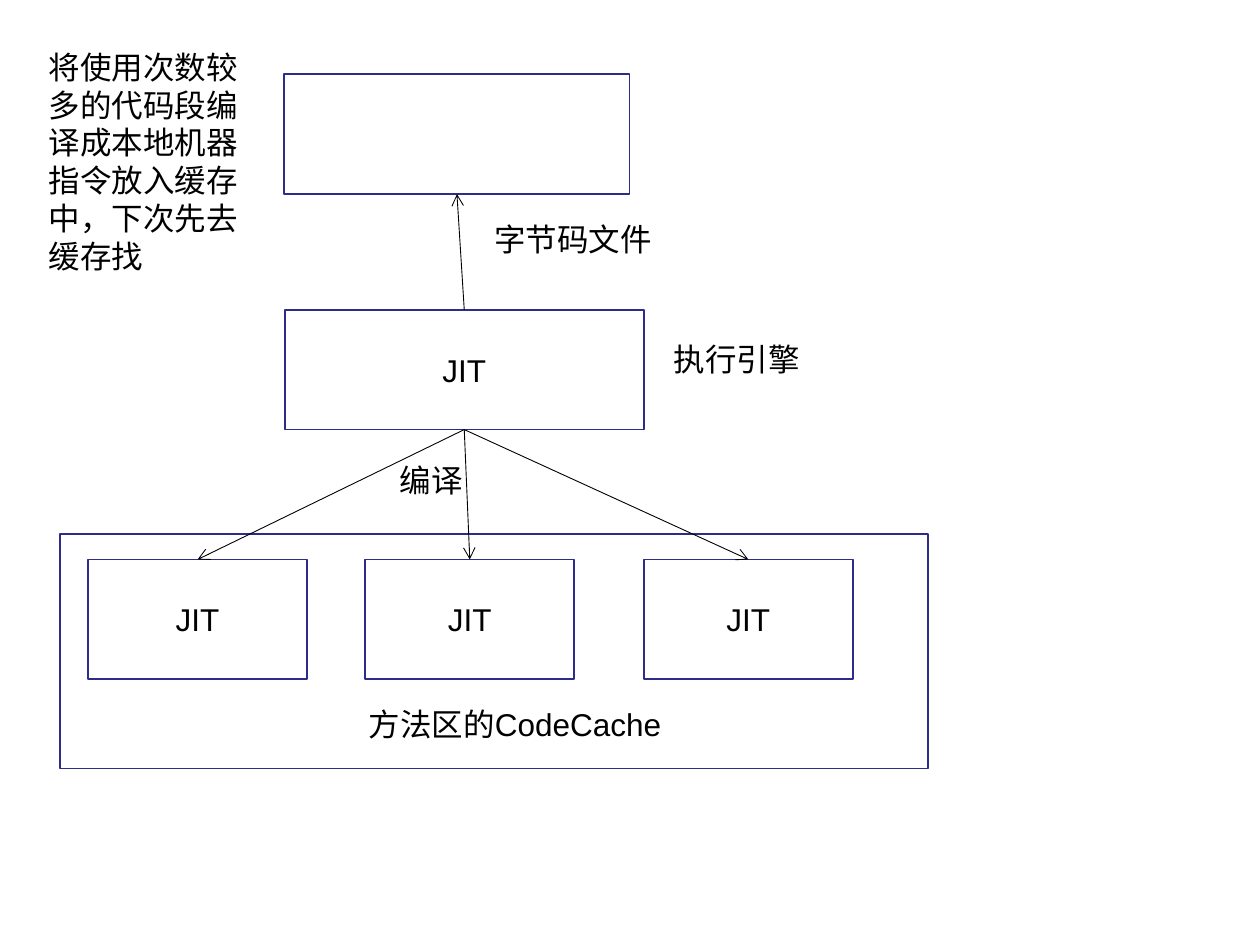
from dataclasses import dataclass
from lxml import etree
from pptx import Presentation
from pptx.dml.color import RGBColor
from pptx.enum import shapes as kinds, text as styles
from pptx.oxml import ns
from pptx.util import Pt


@dataclass(frozen=True)
class Theme:
    ink: str = "000000"
    edge: str = "2D2D89"
    fill: str = "FFFFFF"
    font: str = "Arial"
    size: float = 18
    border: float = 1
    thin: float = 0.5


THEME = Theme()
BOX_H = 68.4


def write(frame, words, align=styles.PP_ALIGN.LEFT, anchor=styles.MSO_ANCHOR.TOP):
    frame.word_wrap = True
    frame.vertical_anchor = anchor
    para = frame.paragraphs[0]
    para.alignment = align
    run = para.add_run()
    run.text = words
    run.font.name = THEME.font
    run.font.size = Pt(THEME.size)
    run.font.color.rgb = RGBColor.from_string(THEME.ink)


def label(slide, words, x, y, w, h=28.8):
    area = slide.shapes.add_textbox(Pt(x), Pt(y), Pt(w), Pt(h))
    write(area.text_frame, words)


def block(slide, x, y, w, h=BOX_H, words=None):
    rect = slide.shapes.add_shape(
        kinds.MSO_SHAPE.RECTANGLE, Pt(x), Pt(y), Pt(w), Pt(h))
    rect.shadow.inherit = False
    rect.fill.solid()
    rect.fill.fore_color.rgb = RGBColor.from_string(THEME.fill)
    rect.line.color.rgb = RGBColor.from_string(THEME.edge)
    rect.line.width = Pt(THEME.border)
    if words:
        write(rect.text_frame, words, align=styles.PP_ALIGN.CENTER,
              anchor=styles.MSO_ANCHOR.MIDDLE)


def arrow(slide, start, end):
    line = slide.shapes.add_connector(
        kinds.MSO_CONNECTOR.STRAIGHT, *(Pt(v) for v in (*start, *end)))
    line.line.color.rgb = RGBColor.from_string(THEME.ink)
    line.line.width = Pt(THEME.thin)
    props = line._element.spPr
    etree.SubElement(props.find(ns.qn("a:ln")), ns.qn("a:tailEnd"), type="arrow")
    etree.SubElement(props, ns.qn("a:effectLst"))


def cache(slide, x, y, w, h):
    """Code cache with its compiled blocks; returns their top centres."""
    block(slide, x, y, w, h)
    tops = []
    for left, wide in ((15.8, 125.3), (174.2, 119.5), (333.4, 119.5)):
        block(slide, x + left, y + 14.4, wide, words="JIT")
        tops.append((x + left + wide / 2, y + 14.4))
    label(slide, "方法区的CodeCache", x + 169.2, y + 94.3, 224)
    return tops


def engine(slide, x, y, w, h):
    """Execution engine; returns its top and bottom centres."""
    block(slide, x, y, w, h, words="JIT")
    label(slide, "执行引擎", x + w + 10, y + 13.7, 129.6)
    return (x + w / 2, y), (x + w / 2, y + h)


def source(slide, x, y, w, h):
    """Bytecode file; returns its bottom centre."""
    block(slide, x, y, w, h)
    label(slide, "字节码文件", x + 113, y + h + 11.5, 129.6)
    return x + w / 2, y + h


def main():
    deck = Presentation()
    deck.slide_width, deck.slide_height = Pt(720), Pt(540)
    slide = deck.slides.add_slide(deck.slide_layouts[6])

    # Regions
    tops = cache(slide, 34.5, 305.3, 496, 133.9)
    head, foot = engine(slide, 162.7, 177.1, 205.2, BOX_H)
    base = source(slide, 162.5, 42.5, 197.3, BOX_H)

    # Flow
    for top in tops:
        arrow(slide, foot, top)
    arrow(slide, head, base)

    # Notes
    label(slide, "编译", 221.4, 259.9, 60)
    label(slide, "将使用次数较多的代码段编译成本地机器指令放入缓存中，下次先去缓存找",
          20.9, 23.8, 123.8, 136.8)

    deck.save("out.pptx")


if __name__ == "__main__":
    main()
